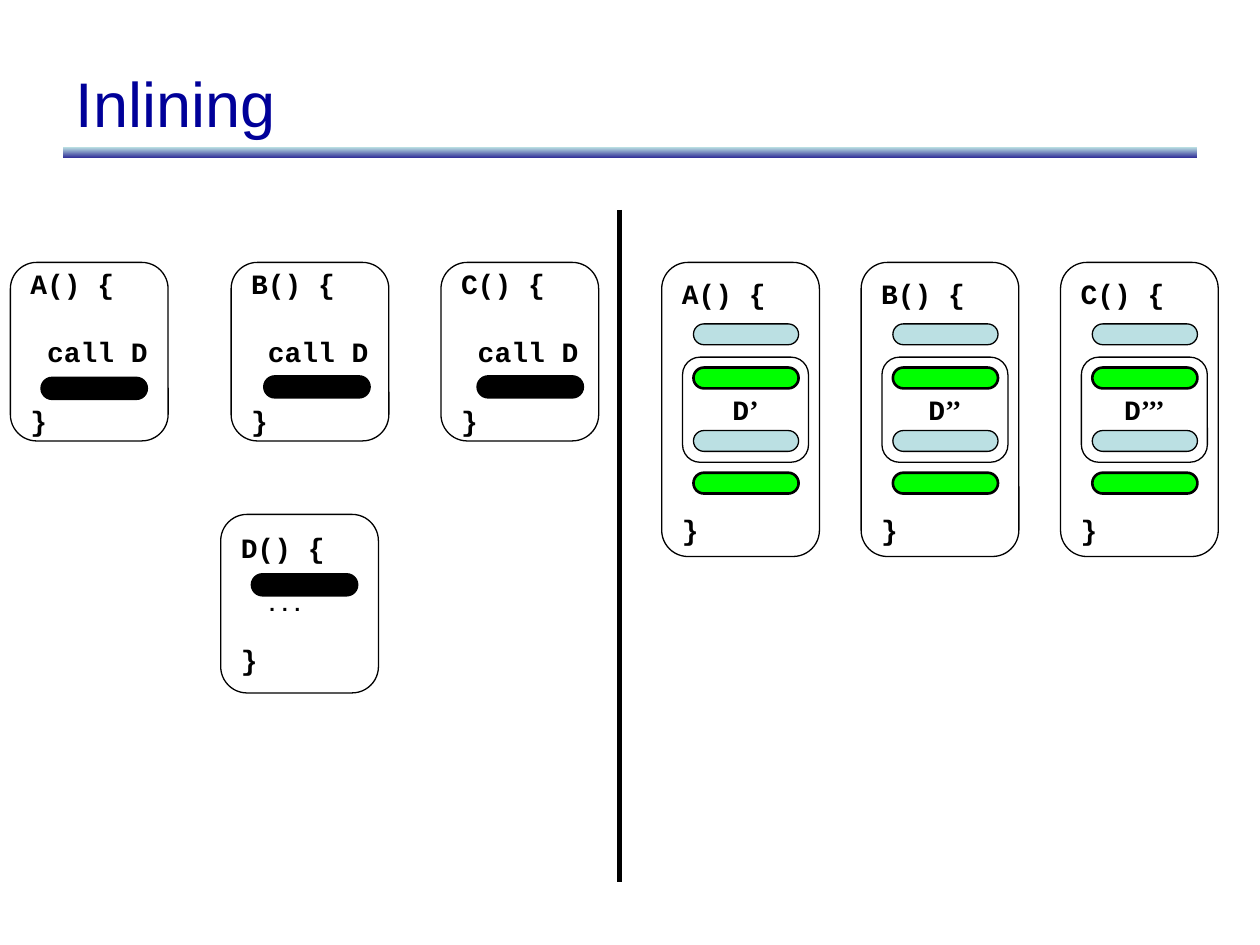
from lxml import etree
from pptx import Presentation
from pptx.dml.color import RGBColor
from pptx.enum.shapes import MSO_CONNECTOR, MSO_SHAPE
from pptx.enum.text import MSO_ANCHOR, PP_ALIGN
from pptx.oxml.ns import qn
from pptx.util import Cm, Pt

RECT, ROUND = MSO_SHAPE.RECTANGLE, MSO_SHAPE.ROUNDED_RECTANGLE
STRAIGHT = MSO_CONNECTOR.STRAIGHT
TOP, MIDDLE = MSO_ANCHOR.TOP, MSO_ANCHOR.MIDDLE
LEFT, CENTER = PP_ALIGN.LEFT, PP_ALIGN.CENTER

BLACK, NAVY, PALE, DEEP, GREEN = "000000", "000099", "BBE0E3", "333399", "00FF00"
MONO, SERIF, SANS = "Courier New", "Times New Roman", "Arial"
BOX_W, CALL_H, BODY_H = 3.18, 3.6, 5.93
BOX_TOP = 5.29


def color(code):
    return RGBColor.from_string(code)


def add_run(para, text, size=16, face=MONO, code=BLACK, bold=True):
    run = para.add_run()
    run.text = text
    font = run.font
    font.size, font.name, font.bold = Pt(size), face, bold
    font.color.rgb = color(code)


def add_round(slide, x, y, w, h, adj, fill=None, line=0.75):
    shape = slide.shapes.add_shape(ROUND, Cm(x), Cm(y), Cm(w), Cm(h))
    shape.adjustments[0] = adj
    shape.shadow.inherit = False
    if fill:
        shape.fill.solid()
        shape.fill.fore_color.rgb = color(fill)
    else:
        shape.fill.background()
    shape.line.color.rgb = color(BLACK)
    shape.line.width = Pt(line)
    return shape


def add_pill(slide, x, y, fill, line=1.5):
    add_round(slide, x, y, 2.12, 0.42, 0.5, fill, line)


def add_code(slide, x, y, h, anchor, lines):
    """Add a function box; each line is (text, size, space before)."""
    frame = add_round(slide, x, y, BOX_W, h, 0.167).text_frame
    frame.word_wrap = False
    frame.vertical_anchor = anchor
    for i, (text, size, gap) in enumerate(lines):
        para = frame.add_paragraph() if i else frame.paragraphs[0]
        para.alignment = LEFT
        para.space_before = Pt(gap)
        add_run(para, text, size)


def add_inlined(slide, x, name, primes):
    """Add a function whose call to D is replaced by D's body."""
    add_code(slide, x, BOX_TOP, BODY_H, TOP,
             [(name + "() {", 16, 0), ("}", 16, 116)])
    left = x + 0.64
    add_pill(slide, left, 6.53, PALE, 0.75)
    add_pill(slide, left, 9.53, GREEN)
    frame = add_round(slide, x + 0.42, 7.2, 2.54, 2.12, 0.167).text_frame
    frame.word_wrap = False
    frame.vertical_anchor = MIDDLE
    para = frame.paragraphs[0]
    para.alignment = CENTER
    add_run(para, "D")
    add_run(para, "’" * primes, face=SERIF)
    add_pill(slide, left, 7.41, GREEN)
    add_pill(slide, left, 8.68, PALE, 0.75)


def add_title(slide, text):
    title = slide.shapes.title
    title.left, title.top = Cm(1.27), Cm(0.76)
    title.width, title.height = Cm(22.86), Cm(2.62)
    title.text_frame.vertical_anchor = MIDDLE
    para = title.text_frame.paragraphs[0]
    para.alignment = LEFT
    add_run(para, text, 36, SANS, NAVY, False)


def add_bar(slide):
    bar = slide.shapes.add_shape(RECT, Cm(1.27), Cm(2.97), Cm(22.86), Cm(0.21))
    bar.shadow.inherit = False
    bar.line.fill.background()
    bar.fill.gradient()
    bar.fill.gradient_angle = 270
    for stop, code in zip(bar.fill.gradient_stops, (PALE, DEEP)):
        stop.color.rgb = color(code)


def add_rule(slide, x, top, end):
    rule = slide.shapes.add_connector(STRAIGHT, Cm(x), Cm(top), Cm(x), Cm(end))
    rule.line.color.rgb = color(BLACK)
    rule.line.width = Pt(3)
    etree.SubElement(rule._element.spPr, qn("a:effectLst"))


def main():
    deck = Presentation()
    deck.slide_width, deck.slide_height = Cm(25.4), Cm(19.05)
    slide = deck.slides.add_slide(deck.slide_layouts[5])
    add_bar(slide)
    add_title(slide, "Inlining")

    # After inlining: each caller holds its own D
    for i, name in enumerate("ABC"):
        add_inlined(slide, 13.34 + 4.02 * i, name, i + 1)

    # Before inlining: three callers
    callers = [("A", 0.21, 0.84, 7.62), ("B", 4.66, 5.33, 7.59),
               ("C", 8.89, 9.63, 7.59)]
    for name, x, left, y in callers:
        add_code(slide, x, BOX_TOP, CALL_H, MIDDLE,
                 [(name + "() {", 16, 0), (" call D", 16, 20), ("}", 16, 20)])
        add_pill(slide, left, y, BLACK)

    # Before inlining: the shared function
    add_code(slide, 4.45, 10.37, CALL_H, MIDDLE,
             [("D() {", 16, 0), ("  ...", 12, 15), ("}", 16, 15.5)])
    add_pill(slide, 5.08, 11.58, BLACK)

    # Divider between before and after
    add_rule(slide, 12.49, 4.23, 17.78)
    deck.save("out.pptx")


if __name__ == "__main__":
    main()
